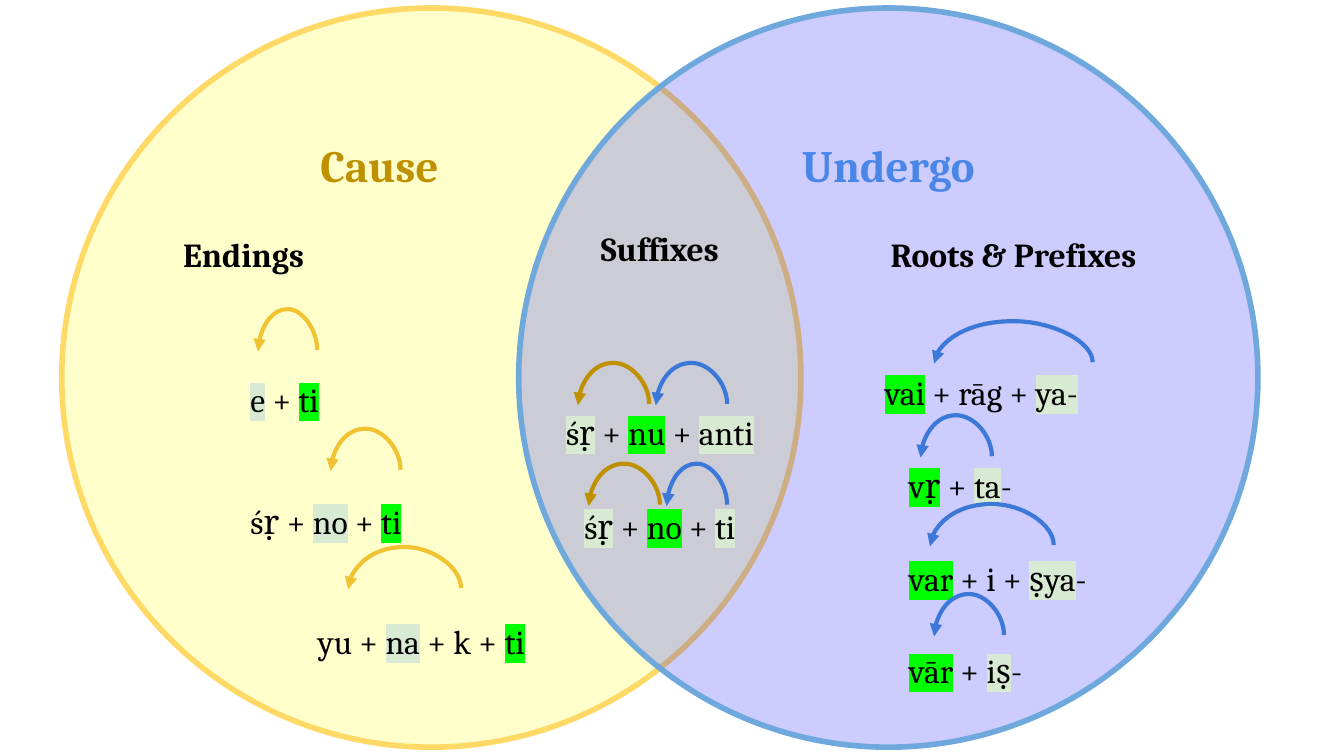
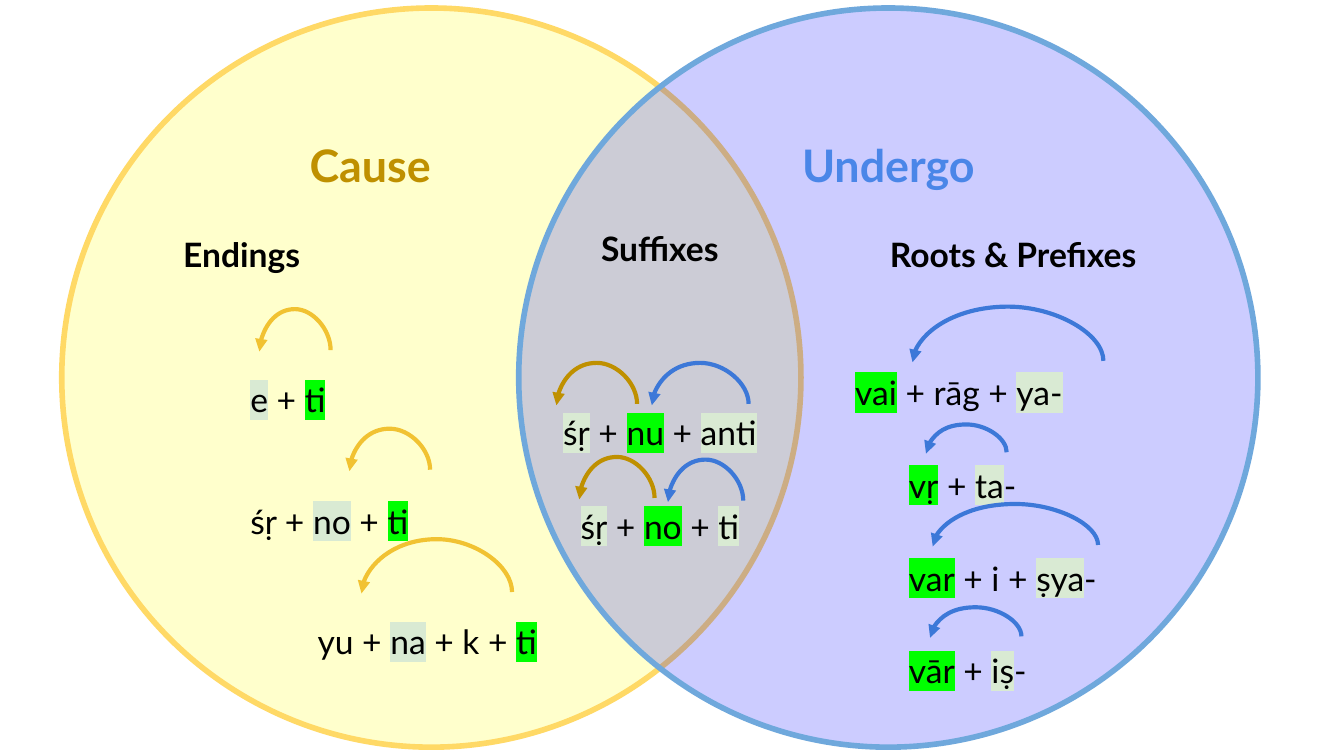
"""Build two Venn diagram slides of Sanskrit sound changes, one per font."""
from lxml import etree
from pptx import Presentation
from pptx import util as u
from pptx.dml.color import RGBColor
from pptx.enum import shapes, text
from pptx.oxml import ns

BLACK, GOLD, AMBER, BLUE = "000000", "BF9000", "F1C232", "3C78D8"
GREEN, PALE = "00FF00", "D9EAD3"
LEFT, CENTER, RIGHT = text.PP_ALIGN.LEFT, text.PP_ALIGN.CENTER, text.PP_ALIGN.RIGHT
PLUS = (" + ", None)
DIAMETER = 5.5
ARC_DEPTH = 0.01


def add_child(parent, tag, **attributes):
    child = etree.SubElement(parent, ns.qn(tag))
    for name, value in attributes.items():
        child.set(name, str(value))
    return child


def write_lines(frame, font_name, top_margin, lines):
    frame.word_wrap = True
    frame.vertical_anchor = text.MSO_ANCHOR.TOP
    frame.margin_left = frame.margin_right = frame.margin_bottom = u.Inches(0.1)
    frame.margin_top = u.Inches(top_margin)
    for number, (size, bold, color, align, indent, gap, runs) in enumerate(lines):
        paragraph = frame.add_paragraph() if number else frame.paragraphs[0]
        paragraph.alignment = align
        paragraph.line_spacing = u.Pt(24)
        paragraph.space_before = u.Pt(gap)
        paragraph._p.get_or_add_pPr().set("marL", str(u.Inches(indent)))
        for words, highlight in runs:
            run = paragraph.add_run()
            run.text = words
            run.font.size = u.Pt(size)
            run.font.bold = bold
            run.font.color.rgb = RGBColor.from_string(color)
            run.font.name = font_name
            if highlight:
                properties = run._r.get_or_add_rPr()
                marker = add_child(properties, "a:highlight")
                add_child(marker, "a:srgbClr", val=highlight)
                properties.find(ns.qn("a:latin")).addprevious(marker)


# Each arc: right end, left end, height of the ends, rise, colour
versions = [
    {
        "font": "Cambria", "cause_indent": 1.02, "vai_indent": 1.82,
        "arcs": [
            (5.41, 4.88, 3.01, 0.31, BLUE), (4.83, 4.3, 3.01, 0.31, GOLD),
            (5.41, 4.96, 3.76, 0.31, BLUE), (4.91, 4.38, 3.76, 0.31, GOLD),
            (7.38, 6.85, 3.4, 0.31, BLUE), (7.84, 6.92, 4.06, 0.31, BLUE),
            (7.47, 6.95, 4.73, 0.31, BLUE), (8.13, 6.95, 2.7, 0.31, BLUE),
            (2.36, 1.92, 2.61, 0.31, AMBER), (2.98, 2.46, 3.5, 0.31, AMBER),
            (3.43, 2.59, 4.38, 0.31, AMBER),
        ],
    },
    {
        "font": "Lato", "cause_indent": 0.94, "vai_indent": 1.6,
        "arcs": [
            (5.57, 4.85, 3.01, 0.31, BLUE), (4.74, 4.14, 3.01, 0.31, GOLD),
            (5.53, 4.97, 3.73, 0.31, BLUE), (4.87, 4.31, 3.71, 0.31, GOLD),
            (7.49, 6.89, 3.37, 0.21, BLUE), (8.17, 6.94, 4.06, 0.31, BLUE),
            (7.6, 6.92, 4.74, 0.22, BLUE), (8.21, 6.79, 2.69, 0.41, BLUE),
            (2.46, 1.93, 2.61, 0.31, AMBER), (3.2, 2.6, 3.5, 0.31, AMBER),
            (3.81, 2.69, 4.41, 0.4, AMBER),
        ],
    },
]

presentation = Presentation()
presentation.slide_width = u.Inches(10)
presentation.slide_height = u.Inches(10) * 9 // 16

for version in versions:
    slide = presentation.slides.add_slide(presentation.slide_layouts[6])
    cause_lines = [
        (24, True, GOLD, LEFT, version["cause_indent"], 0, [("Cause", None)]),
        (18, True, BLACK, LEFT, 0, 20, [("Endings", None)]),
        (18, False, BLACK, LEFT, 0.5, 54, [("e", PALE), PLUS, ("ti", GREEN)]),
        (18, False, BLACK, LEFT, 0.5, 41,
         [("śṛ + ", None), ("no", PALE), PLUS, ("ti", GREEN)]),
        (18, False, BLACK, LEFT, 1, 40.5,
         [("yu + ", None), ("na", PALE), (" + k + ", None), ("ti", GREEN)]),
    ]
    undergo_lines = [
        (24, True, "4A86E8", CENTER, 0, 0, [("Undergo", None)]),
        (18, True, BLACK, RIGHT, 0, 20, [("Roots & Prefixes", None)]),
        (18, False, BLACK, LEFT, version["vai_indent"], 50,
         [("vai", GREEN), (" + rāg + ", None), ("ya-", PALE)]),
        (18, False, BLACK, LEFT, 2, 25.7,
         [("vṛ", GREEN), PLUS, ("ta", PALE), ("-", None)]),
        (18, False, BLACK, LEFT, 2, 25.7,
         [("var", GREEN), (" + i + ", None), ("ṣya", PALE), ("-", None)]),
        (18, False, BLACK, LEFT, 2, 25.7,
         [("vār", GREEN), PLUS, ("iṣ", PALE), ("-", None)]),
    ]
    suffix_lines = [
        (18, True, BLACK, CENTER, 0, 0, [("Suffixes", None)]),
        (18, False, BLACK, CENTER, 0, 75,
         [("śṛ", PALE), PLUS, ("nu", GREEN), PLUS, ("anti", PALE)]),
        (18, False, BLACK, CENTER, 0, 26,
         [("śṛ", PALE), PLUS, ("no", GREEN), PLUS, ("ti", PALE)]),
    ]

    for left, fill, outline, lines in [
        (0.46, "FFFF00", "FFD966", cause_lines),
        (3.86, "0000FF", "6FA8DC", undergo_lines),
    ]:
        circle = slide.shapes.add_shape(
            shapes.MSO_SHAPE.OVAL, u.Inches(left), u.Inches(0.06),
            u.Inches(DIAMETER), u.Inches(DIAMETER))
        circle.shadow.inherit = False
        circle.fill.solid()
        circle.fill.fore_color.rgb = RGBColor.from_string(fill)
        fill_color = circle._element.spPr.find(ns.qn("a:solidFill"))[0]
        add_child(fill_color, "a:alpha", val=20000)
        circle.line.color.rgb = RGBColor.from_string(outline)
        circle.line.width = u.Pt(3)
        write_lines(circle.text_frame, version["font"], 0.23, lines)

    overlap = slide.shapes.add_textbox(
        u.Inches(3.86), u.Inches(1.25), u.Inches(2.1), u.Inches(3.13))
    write_lines(overlap.text_frame, version["font"], 0.41, suffix_lines)

    for start, end, height, rise, color in version["arcs"]:
        span = start - end
        middle = (start + end) / 2
        arc = slide.shapes.add_connector(
            shapes.MSO_CONNECTOR.CURVE,
            u.Inches(middle - ARC_DEPTH / 2), u.Inches(height - span / 2),
            u.Inches(middle + ARC_DEPTH / 2), u.Inches(height + span / 2))
        arc.line.color.rgb = RGBColor.from_string(color)
        arc.line.width = u.Pt(2.25)
        properties = arc._element.spPr
        properties.find(ns.qn("a:xfrm")).set("rot", str(90 * 60000))
        guides = properties.find(ns.qn("a:prstGeom")).find(ns.qn("a:avLst"))
        add_child(guides, "a:gd", name="adj1",
                  fmla=f"val {round(-rise / ARC_DEPTH * 100000)}")
        add_child(properties.find(ns.qn("a:ln")), "a:tailEnd", type="triangle")
        add_child(properties, "a:effectLst")

presentation.save("out.pptx")
